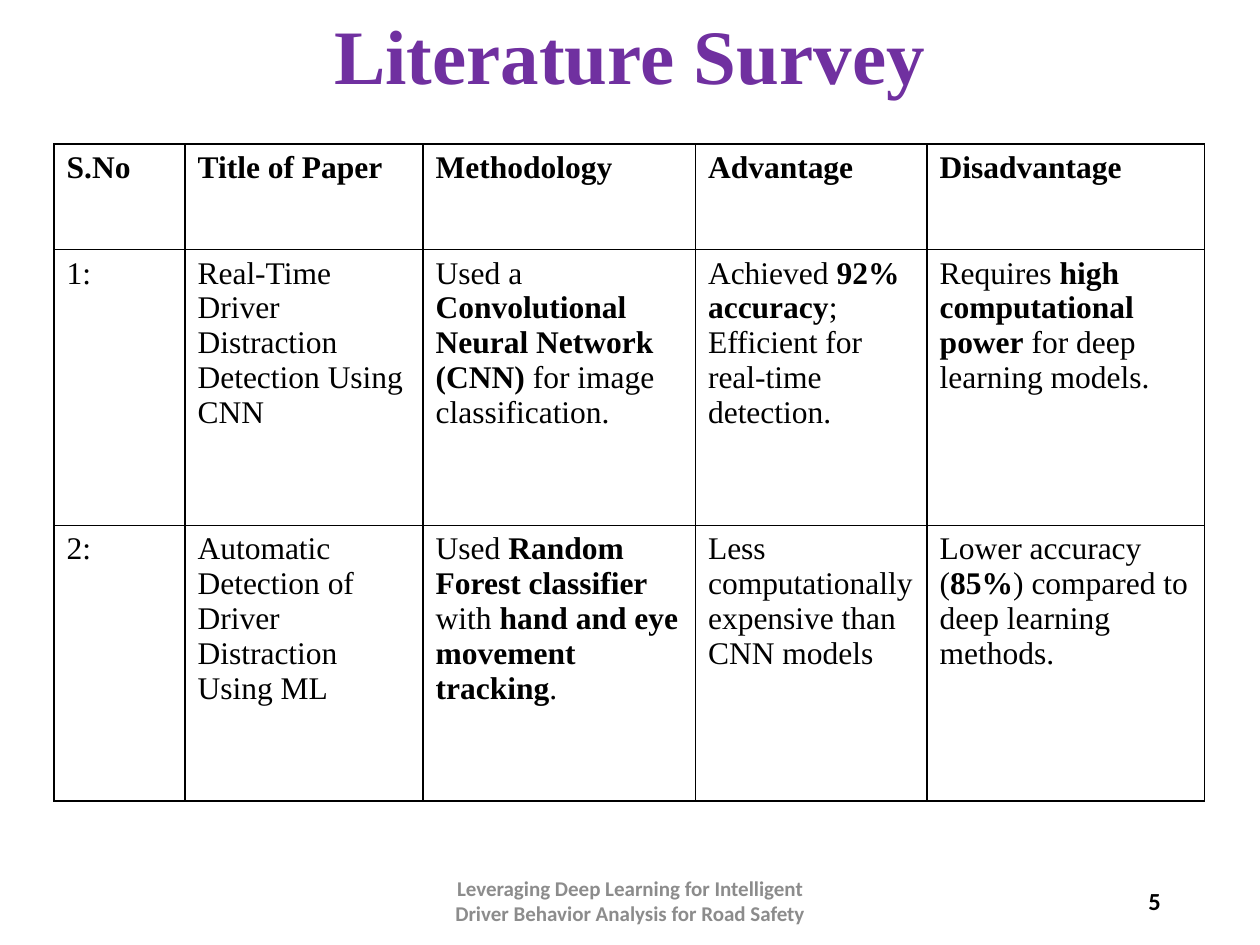
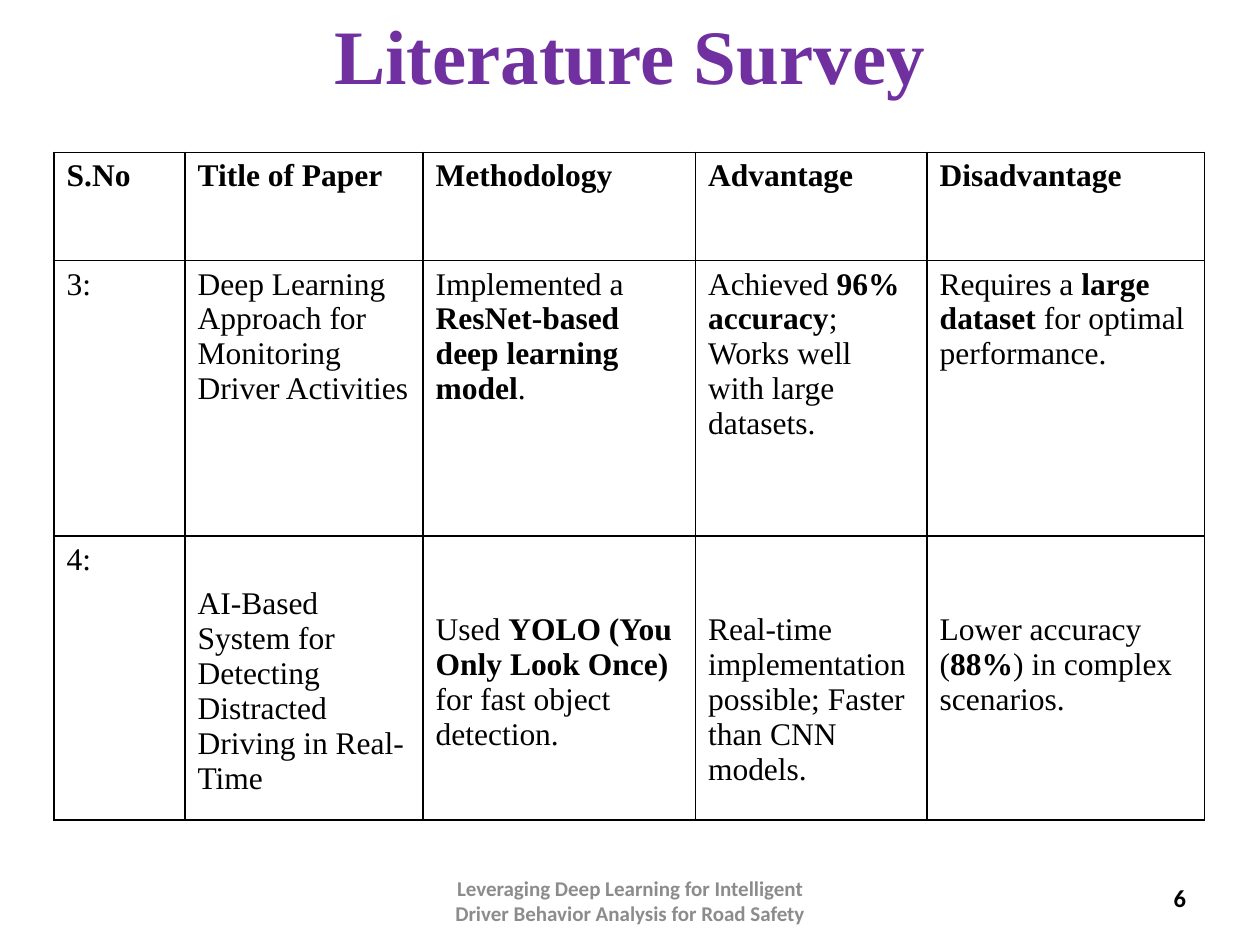
from lxml.etree import SubElement
from pptx import Presentation
from pptx.dml.color import RGBColor
from pptx.enum.text import MSO_ANCHOR as Anchor, MSO_AUTO_SIZE as AutoSize, PP_ALIGN as Align
from pptx.oxml.ns import qn
from pptx.util import Cm, Pt

PURPLE, BLACK, GREY, WHITE = "7030A0", "000000", "8C8C8C", "FFFFFF"
TITLE_FONT = {"name": "Times New Roman", "size": Pt(44), "bold": True}
TABLE_FONT = {"name": "Times New Roman", "size": Pt(18)}
NUMBER_FONT = {"name": "Calibri", "size": Pt(14), "bold": True}
FOOTER_FONT = {"name": "Calibri", "size": Pt(12), "bold": True}

TITLE_BOX = (1.75, 0.46, 21.9, 1.47)
FOOTER_BOX = (8.41, 17.65, 8.59, 1.02)
TABLE_LEFT = 1.09
COLUMN_WIDTHS = (2.64, 4.8, 5.49, 4.67, 5.59)
BODY_ROW_HEIGHT = 5.56
CELL_TOP = 0.13

TITLE = "Literature Survey"
FOOTER = "Leveraging Deep Learning for Intelligent Driver Behavior Analysis for Road Safety"
HEADINGS = ("S.No", "Title of Paper", "Methodology", "Advantage", "Disadvantage")

SURVEYS = [
    {
        "number": "5",
        "number_box": (17.93, 17.65, 5.72, 1.02),
        "table_top": 2.9,
        "header_height": 2.13,
        "papers": [
            ("1:", "Real-Time Driver Distraction Detection Using CNN",
             "Used a **Convolutional Neural Network (CNN)** for image classification.",
             "Achieved **92% accuracy**; Efficient for real-time detection.",
             "Requires **high computational power** for deep learning models."),
            ("2:", "Automatic Detection of Driver Distraction Using ML",
             "Used **Random Forest classifier** with **hand and eye movement tracking**.",
             "Less computationally expensive than CNN models",
             "Lower accuracy (**85%**) compared to deep learning methods."),
        ],
        "lowered_cells": {},
    },
    {
        "number": "6",
        "number_box": (18.44, 17.58, 5.72, 1.02),
        "table_top": 3.07,
        "header_height": 2.18,
        "papers": [
            ("3:", "Deep Learning Approach for Monitoring Driver Activities",
             "Implemented a **ResNet-based deep learning model**.",
             "Achieved **96% accuracy**; Works well with large datasets.",
             "Requires a **large dataset** for optimal performance."),
            ("4:", "AI-Based System for Detecting Distracted Driving in Real-Time",
             "Used **YOLO (You Only Look Once)** for fast object detection.",
             "Real-time implementation possible; Faster than CNN models.",
             "Lower accuracy (**88%**) in complex scenarios."),
        ],
        "lowered_cells": {(2, 1): 1.02, (2, 2): 1.54, (2, 3): 1.54, (2, 4): 1.54},
    },
]


def color(value):
    return RGBColor.from_string(value)


def apply_format(target, values):
    for name, value in values.items():
        setattr(target, name, value)


def write_text(paragraph, text, font_values, font_color):
    for index, part in enumerate(text.split("**")):
        if part:
            run = paragraph.add_run()
            run.text = part
            apply_format(run.font, {"bold": index % 2 == 1, **font_values})
            run.font.color.rgb = color(font_color)


def add_title(slide, box):
    title = slide.shapes.title
    apply_format(title, dict(zip(("left", "top", "width", "height"), map(Cm, box))))
    apply_format(title.text_frame, {"vertical_anchor": Anchor.MIDDLE,
                                    "auto_size": AutoSize.NONE, "word_wrap": True})
    paragraph = title.text_frame.paragraphs[0]
    apply_format(paragraph, {"alignment": Align.CENTER, "line_spacing": 0.9})
    write_text(paragraph, TITLE, TITLE_FONT, PURPLE)


def add_label(slide, box, text, alignment, font_values, font_color):
    frame = slide.shapes.add_textbox(*map(Cm, box)).text_frame
    apply_format(frame, {"word_wrap": True, "vertical_anchor": Anchor.MIDDLE})
    paragraph = frame.paragraphs[0]
    paragraph.alignment = alignment
    write_text(paragraph, text, font_values, font_color)


def add_borders(cell):
    properties = cell._tc.get_or_add_tcPr()
    for side in ("lnL", "lnR", "lnT", "lnB"):
        line = SubElement(properties, qn(f"a:{side}"), w=str(Pt(1)))
        fill = SubElement(line, qn("a:solidFill"))
        SubElement(fill, qn("a:srgbClr"), val=BLACK)


def fill_cell(cell, text, bold, top_margin):
    add_borders(cell)
    cell.fill.solid()
    cell.fill.fore_color.rgb = color(WHITE)
    apply_format(cell, {"margin_top": Cm(top_margin), "vertical_anchor": Anchor.TOP})
    font_values = {**TABLE_FONT, "bold": True} if bold else TABLE_FONT
    write_text(cell.text_frame.paragraphs[0], text, font_values, BLACK)


def add_survey_table(slide, left, top, survey):
    rows = [HEADINGS, *survey["papers"]]
    heights = [survey["header_height"]] + [BODY_ROW_HEIGHT] * len(survey["papers"])
    box = (left, top, sum(COLUMN_WIDTHS), sum(heights))
    table = slide.shapes.add_table(len(rows), len(HEADINGS), *map(Cm, box)).table
    apply_format(table, {"first_row": False, "horz_banding": False})
    for column, width in zip(table.columns, COLUMN_WIDTHS):
        column.width = Cm(width)
    for row, height in zip(table.rows, heights):
        row.height = Cm(height)
    for row_index, texts in enumerate(rows):
        for column_index, text in enumerate(texts):
            position = (row_index, column_index)
            top_margin = survey["lowered_cells"].get(position, CELL_TOP)
            fill_cell(table.cell(*position), text, row_index == 0, top_margin)


def add_survey_slide(presentation, survey):
    slide = presentation.slides.add_slide(presentation.slide_layouts[5])
    add_title(slide, TITLE_BOX)
    add_label(slide, survey["number_box"], survey["number"], Align.RIGHT, NUMBER_FONT, BLACK)
    add_label(slide, FOOTER_BOX, FOOTER, Align.CENTER, FOOTER_FONT, GREY)
    add_survey_table(slide, TABLE_LEFT, survey["table_top"], survey)


def main():
    presentation = Presentation()
    apply_format(presentation, {"slide_width": Cm(25.4), "slide_height": Cm(19.05)})
    for survey in SURVEYS:
        add_survey_slide(presentation, survey)
    presentation.save("out.pptx")


if __name__ == "__main__":
    main()
